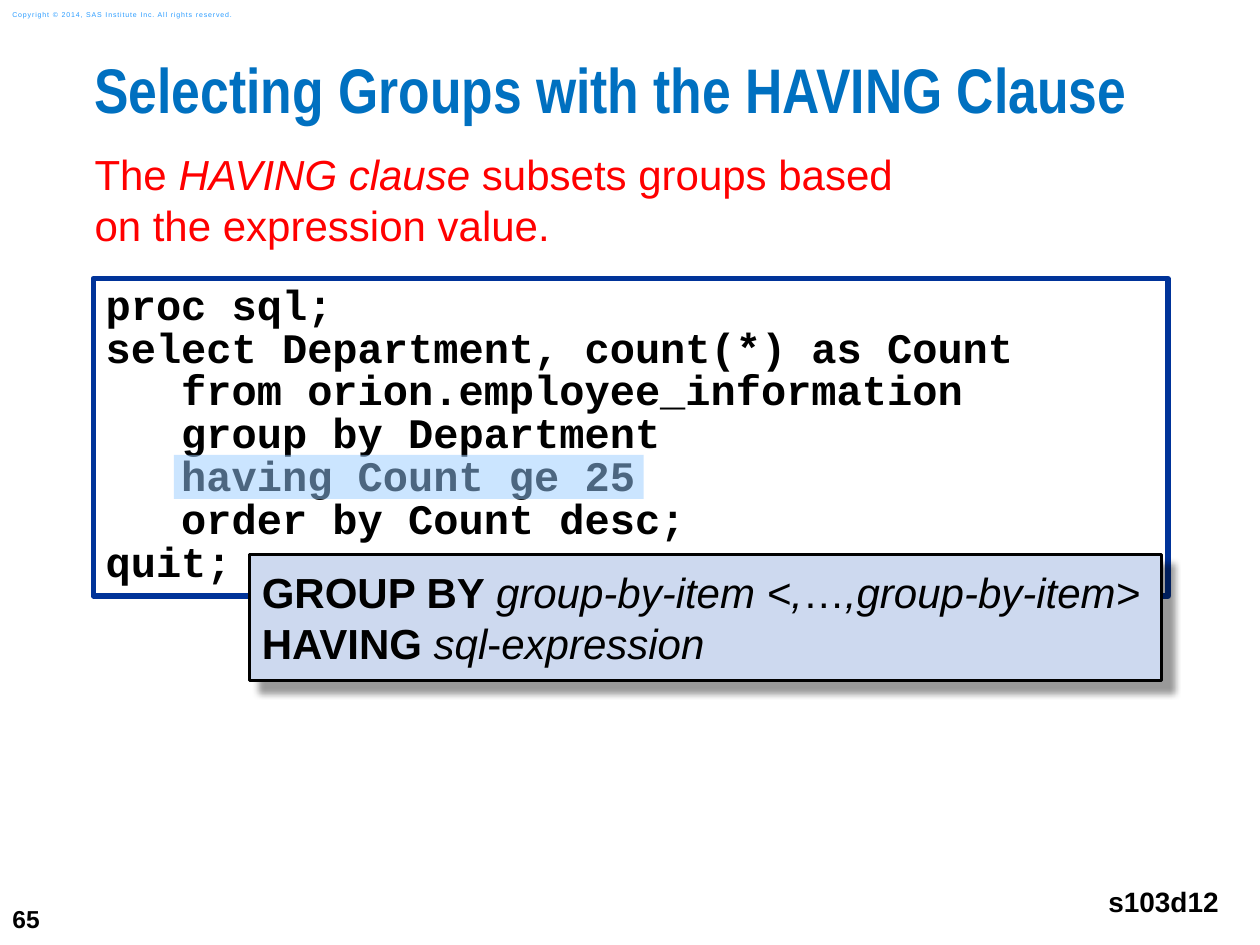
from lxml.etree import SubElement
from pptx import Presentation
from pptx.dml.color import RGBColor
from pptx.enum.shapes import MSO_SHAPE as Shape
from pptx.enum.text import MSO_ANCHOR as Anchor, MSO_AUTO_SIZE as AutoSize, PP_ALIGN as Align
from pptx.oxml import parse_xml
from pptx.oxml.ns import nsdecls, qn
from pptx.util import Inches, Pt

COLUMNS, ROWS = 100, 75
CELL = Inches(0.1)
COLORS = {
    "white": "FFFFFF",
    "black": "000000",
    "title": "0070C0",
    "emphasis": "FF0000",
    "copyright": "2A9CFF",
    "code_border": "003399",
    "highlight": "99CCFF",
    "syntax": "CDD9EF",
}
CODE = """proc sql;
select Department, count(*) as Count
   from orion.employee_information
   group by Department
   having Count ge 25
   order by Count desc;
quit;"""
SYNTAX = [
    [("GROUP BY ", "b"), ("group-by-item <,", "i"), ("…", ""), (",group-by-item>", "i")],
    [("HAVING ", "b"), ("sql", "i"), ("-", ""), ("expression", "i")],
]


def color(name):
    return RGBColor.from_string(COLORS[name])


def grid(*cells):
    return [round(cell * CELL) for cell in cells]


def set_frame(box, insets=(0, 0, 0, 0), wrap=True, anchor=Anchor.TOP):
    frame = box.text_frame
    frame.auto_size = AutoSize.NONE
    frame.word_wrap = wrap
    frame.vertical_anchor = anchor
    (frame.margin_left, frame.margin_top,
     frame.margin_right, frame.margin_bottom) = grid(*insets)
    return frame


def set_font(para, name, size, tone, bold=None):
    font = para.font
    font.name, font.size, font.bold = name, Pt(size), bold
    font.color.rgb = color(tone)


def add_spans(para, spans):
    for text, style in spans:
        span = para.add_run()
        span.text = text
        if style:
            span.font.bold, span.font.italic = style == "b", style == "i"


def fill_placeholder(holder, cells):
    holder.left, holder.top, holder.width, holder.height = grid(*cells)
    para = set_frame(holder).paragraphs[0]
    para.alignment = Align.LEFT
    return para


def add_label(page, cells, text, size, tone="black", bold=True, align=Align.LEFT, **frame):
    box = page.shapes.add_textbox(*grid(*cells))
    para = set_frame(box, **frame).paragraphs[0]
    para.text = text
    para.alignment = align
    set_font(para, "Arial", size, tone, bold)
    return para


def add_panel(page, cells, fill, border=None, width=0):
    panel = page.shapes.add_shape(Shape.RECTANGLE, *grid(*cells))
    panel.shadow.inherit = False
    panel.fill.solid()
    panel.fill.fore_color.rgb = color(fill)
    if border:
        panel.line.color.rgb = color(border)
        panel.line.width = Pt(width)
    else:
        panel.line.fill.background()
    return panel


def add_title(page):
    para = fill_placeholder(page.shapes.title, (7.5, 5, 92.5, 7.4))
    para.text = "Selecting Groups with the HAVING Clause"
    para.line_spacing = 0.83
    set_font(para, "Arial Narrow", 36, "title", True)


def add_body(page):
    para = fill_placeholder(page.placeholders[1], (7.5, 11.8, 85.8, 46.6))
    properties = para._p.get_or_add_pPr()
    properties.set("marL", "0")
    properties.set("indent", "0")
    SubElement(properties, qn("a:buNone"))
    para.space_before = Pt(0)
    set_font(para, "Arial", 24, "emphasis")
    add_spans(para, [("The ", ""), ("HAVING clause", "i"), (" subsets groups based", "")])
    para.add_line_break()
    add_spans(para, [("on the expression value.", "")])


def add_code(page):
    panel = add_panel(page, (7.4, 22.1, 85.3, 25.2), "white", "code_border", 3)
    frame = set_frame(panel, (1, 0.6, 0, 0.6))
    frame.text = CODE
    for para in frame.paragraphs:
        para.alignment = Align.LEFT
        para.line_spacing = 0.85
        set_font(para, "Courier New", 24, "black", True)


def add_highlight(page):
    panel = add_panel(page, (13.8, 36.1, 37.3, 3.5), "highlight")
    tone = panel.fill._xPr.find(qn("a:solidFill"))[0]
    SubElement(tone, qn("a:alpha"), val="50000")


def add_syntax(page):
    panel = add_panel(page, (19.8, 44, 72.4, 10), "syntax", "black", 1.5)
    effects = panel._element.spPr.find(qn("a:effectLst"))
    effects.append(parse_xml(
        f'<a:outerShdw {nsdecls("a")} blurRad="{Pt(4)}" dist="{Pt(8.5)}" dir="2700000"'
        ' algn="tl" rotWithShape="0">'
        f'<a:srgbClr val="{COLORS["black"]}"><a:alpha val="40000"/></a:srgbClr></a:outerShdw>'))
    frame = set_frame(panel, (1, 1, 1, 1), wrap=False)
    for index, spans in enumerate(SYNTAX):
        para = frame.add_paragraph() if index else frame.paragraphs[0]
        para.alignment = Align.LEFT
        set_font(para, "Arial", 24, "black")
        add_spans(para, spans)


def main():
    deck = Presentation()
    deck.slide_width, deck.slide_height = grid(COLUMNS, ROWS)
    page = deck.slides.add_slide(deck.slide_layouts[1])
    add_title(page)
    add_body(page)
    add_label(page, (0, 70.8, 5.8, 4.2), "65", 14,
              insets=(1, 0.5, 1, 0.5), wrap=False, anchor=Anchor.MIDDLE)
    notice = add_label(page, (0, 0.3, 21.1, 1.7),
                       "Copyright © 2014, SAS Institute Inc. All rights reserved.", 4,
                       "copyright", False, insets=(1, 0.5, 1, 0.5), anchor=Anchor.MIDDLE)
    notice.runs[0].font._element.set("spc", "50")
    add_code(page)
    add_label(page, (86.9, 69.2, 10.8, 4.7), "s103d12", 16, align=Align.RIGHT,
              insets=(1, 1, 1, 1), wrap=False)
    add_highlight(page)
    add_syntax(page)
    deck.save("out.pptx")


if __name__ == "__main__":
    main()
